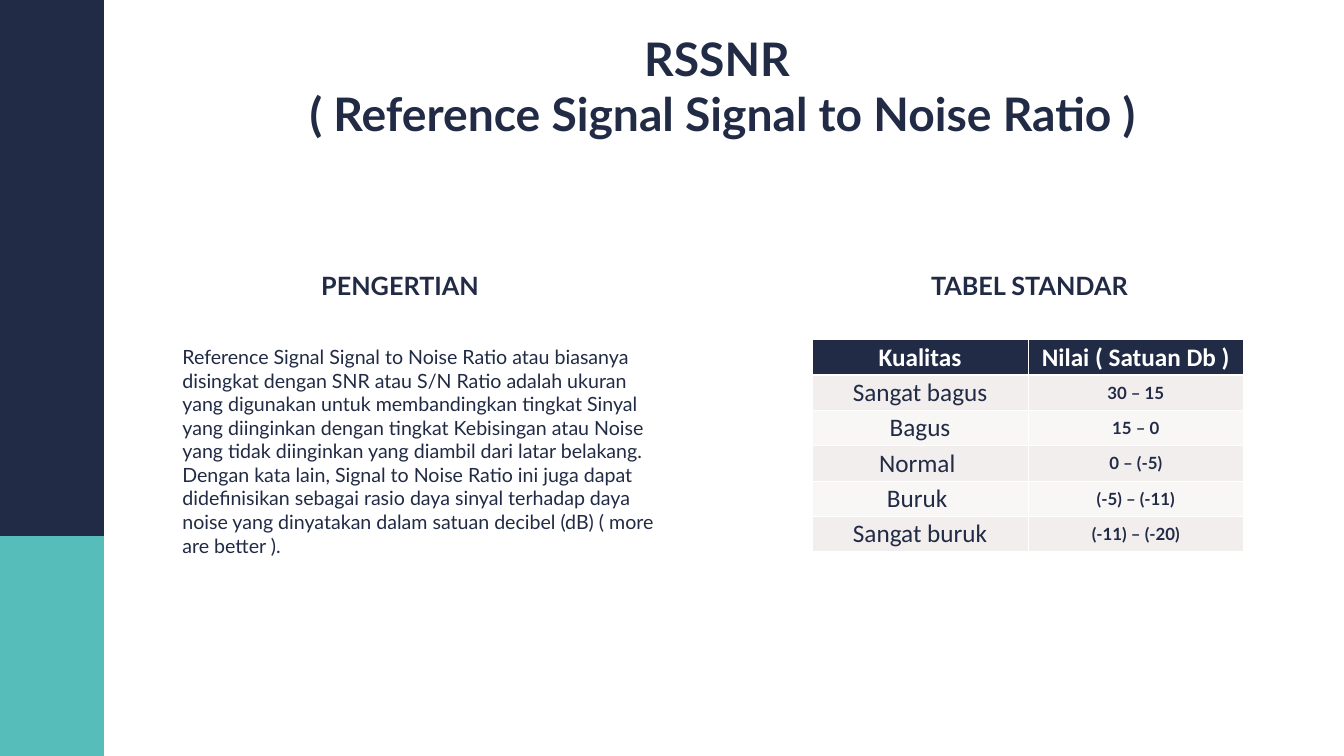
"""Build the RSSNR slide with its definition and table of standard values."""
from lxml import etree
from pptx import Presentation
from pptx.dml.color import RGBColor
from pptx.enum.shapes import MSO_SHAPE
from pptx.enum.text import MSO_ANCHOR, PP_ALIGN
from pptx.oxml.ns import qn
from pptx.util import Inches, Pt

RECTANGLE = MSO_SHAPE.RECTANGLE
LEFT, CENTER = PP_ALIGN.LEFT, PP_ALIGN.CENTER
TOP, MIDDLE = MSO_ANCHOR.TOP, MSO_ANCHOR.MIDDLE
SLIDE_WIDTH, SLIDE_HEIGHT = 26.66, 15
SIDEBAR_WIDTH, SIDEBAR_SPLIT = 2.06, 10.64
HEADING_TOP, HEADING_HEIGHT = 5.32, 0.71
TABLE_LEFT, TABLE_TOP = 16.11, 6.74
COLUMN_WIDTH, ROW_HEIGHT = 4.28, 0.7
COLORS = {
    "navy": "222B45",
    "teal": "57BDBA",
    "white": "FFFFFF",
    "odd_row": "F1EEED",
    "even_row": "F8F7F6",
}
TITLE = ["RSSNR ", "( Reference Signal Signal to Noise Ratio )"]
DEFINITION = (
    "Reference Signal Signal to Noise Ratio atau biasanya disingkat dengan SNR atau "
    "S/N Ratio adalah ukuran yang digunakan untuk membandingkan tingkat Sinyal yang "
    "diinginkan dengan tingkat Kebisingan atau Noise yang tidak diinginkan yang diambil "
    "dari latar belakang. Dengan kata lain, Signal to Noise Ratio ini juga dapat "
    "didefinisikan sebagai rasio daya sinyal terhadap daya noise yang dinyatakan dalam "
    "satuan decibel (dB) ( more are better )."
)
STANDARDS = [
    ("Kualitas", "Nilai ( Satuan Db )"),
    ("Sangat bagus", "30 – 15"),
    ("Bagus", "15 – 0"),
    ("Normal ", "0 – (-5)"),
    ("Buruk ", "(-5) – (-11)"),
    ("Sangat buruk", "(-11) – (-20)"),
]


def color(name):
    """Return the named palette colour."""
    return RGBColor.from_string(COLORS[name])


def add_band(slide, top, height, fill):
    """Add one block of the sidebar."""
    band = slide.shapes.add_shape(
        RECTANGLE, 0, Inches(top), Inches(SIDEBAR_WIDTH), Inches(height))
    band.shadow.inherit = False
    band.fill.solid()
    band.fill.fore_color.rgb = color(fill)
    band.line.fill.background()


def write(paragraph, lines, size, bold, align, font="Lato", ink="navy"):
    """Write lines into a paragraph, parted by line breaks."""
    paragraph.alignment = align
    for number, line in enumerate(lines):
        if number:
            paragraph.add_line_break()
        run = paragraph.add_run()
        run.text = line
        run.font.name = font
        run.font.size = Pt(size)
        run.font.bold = bold
        run.font.color.rgb = color(ink)


def add_text(slide, box, lines, size, bold=True, align=CENTER, indent=0):
    """Add a wrapped text box with one paragraph."""
    frame = slide.shapes.add_textbox(*map(Inches, box)).text_frame
    frame.word_wrap = True
    paragraph = frame.paragraphs[0]
    write(paragraph, lines, size, bold, align)
    if indent:
        paragraph.level = 1
        paragraph._p.get_or_add_pPr().set("marL", str(Inches(indent)))


def set_borders(cell, bottom_width):
    """Draw white borders round a cell."""
    widths = {"lnL": 1, "lnR": 1, "lnT": 1, "lnB": bottom_width}
    properties = cell._tc.get_or_add_tcPr()
    for position, (side, width) in enumerate(widths.items()):
        border = etree.Element(qn(f"a:{side}"), w=str(Pt(width)))
        fill = etree.SubElement(border, qn("a:solidFill"))
        etree.SubElement(fill, qn("a:srgbClr"), val=COLORS["white"])
        properties.insert(position, border)


def add_standards(slide):
    """Add the table of signal quality and its values."""
    table = slide.shapes.add_table(
        len(STANDARDS), 2, Inches(TABLE_LEFT), Inches(TABLE_TOP),
        Inches(2 * COLUMN_WIDTH), Inches(ROW_HEIGHT * len(STANDARDS))).table
    for row, entries in enumerate(STANDARDS):
        header = row == 0
        band = "navy" if header else "odd_row" if row % 2 else "even_row"
        for column, entry in enumerate(entries):
            value = column == 1 and not header
            cell = table.cell(row, column)
            cell.margin_left = cell.margin_right = Inches(0.08)
            cell.margin_top = cell.margin_bottom = Inches(0.05)
            cell.vertical_anchor = MIDDLE if value else TOP
            cell.fill.solid()
            cell.fill.fore_color.rgb = color(band)
            set_borders(cell, 3 if header else 1)
            write(cell.text_frame.paragraphs[0], [entry], 24 if value else 36,
                  header or value, CENTER, "Lato" if value else "Calibri",
                  "white" if header else "navy")


def main():
    """Build and save the slide."""
    presentation = Presentation()
    presentation.slide_width = Inches(SLIDE_WIDTH)
    presentation.slide_height = Inches(SLIDE_HEIGHT)
    slide = presentation.slides.add_slide(presentation.slide_layouts[6])
    add_band(slide, 0, SIDEBAR_SPLIT, "navy")
    add_band(slide, SIDEBAR_SPLIT, SLIDE_HEIGHT - SIDEBAR_SPLIT, "teal")
    add_text(slide, (3.52, 6.8, 9.81, 4.34), [DEFINITION], 28, False, LEFT)
    add_text(slide, (3.12, HEADING_TOP, 8.63, HEADING_HEIGHT), ["PENGERTIAN"], 36, indent=1)
    add_text(slide, (2.92, 0.55, 22.83, 2.32), TITLE, 66)
    add_text(slide, (18.37, HEADING_TOP, 4.31, HEADING_HEIGHT), ["TABEL STANDAR"], 36, align=LEFT)
    add_standards(slide)
    presentation.save("out.pptx")


if __name__ == "__main__":
    main()
